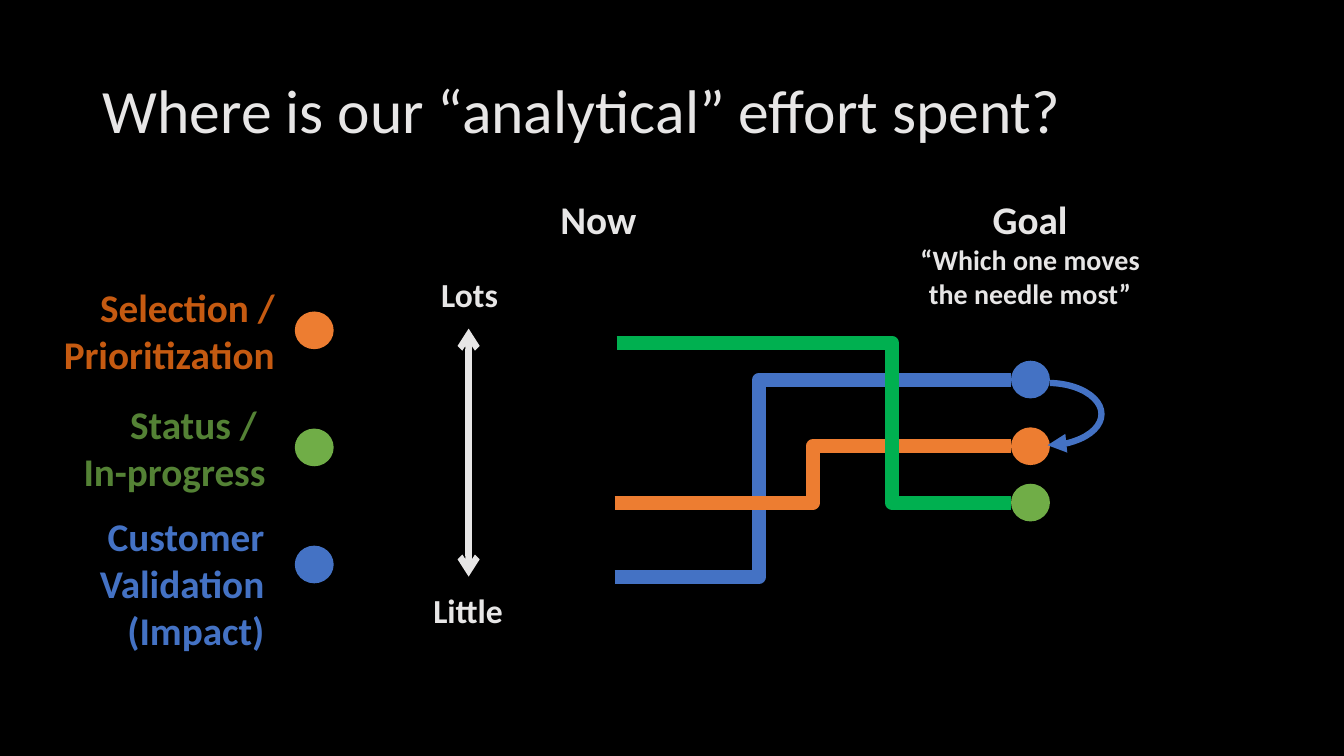
import pptx
import pptx.util
import pptx.dml.color
import pptx.enum.shapes
import pptx.enum.text
import pptx.oxml
import pptx.oxml.ns

Cm, Pt = pptx.util.Cm, pptx.util.Pt
ALIGN = pptx.enum.text.PP_ALIGN
ANCHOR = pptx.enum.text.MSO_ANCHOR
SHAPE = pptx.enum.shapes.MSO_SHAPE
CONNECTOR = pptx.enum.shapes.MSO_CONNECTOR

COLORS = {
    "background": "000000", "light": "E7E6E6",
    "blue": "4472C4", "orange": "ED7D31", "green": "70AD47",
    "dark orange": "C55A11", "dark green": "548235", "route green": "00B050",
}

# Content: box in cm, wrap, alignment, colour, bold, lines of (text, size)
TITLE = ((2.34, 1.02, 29.21, 3.68), True, ALIGN.LEFT, "light", False,
         [("Where is our “analytical” effort spent?", 44)])
LABELS = [
    ((13.87, 4.8, 2.44, 1.45), False, ALIGN.LEFT, "light", True, [("Now", 28)]),
    ((22.91, 4.8, 6.1, 3.18), False, ALIGN.CENTER, "light", True,
     [("Goal", 28), ("“Which one moves\vthe needle most”", 20)]),
    ((1.02, 7.01, 6.15, 2.64), True, ALIGN.RIGHT, "dark orange", True,
     [("Selection / Prioritization", 28)]),
    ((1.78, 9.96, 5.16, 2.64), False, ALIGN.RIGHT, "dark green", True,
     [("Status / \vIn-progress", 28)]),
    ((1.32, 12.78, 5.59, 3.84), True, ALIGN.RIGHT, "blue", True,
     [("Customer\vValidation\v(Impact)", 28)]),
    ((10.87, 6.78, 1.98, 1.27), False, ALIGN.LEFT, "light", True, [("Lots", 24)]),
    ((10.67, 14.73, 2.31, 1.27), False, ALIGN.LEFT, "light", True, [("Little", 24)]),
]
LEGEND_ORDER = ["orange", "green", "blue"]
LEGEND_LEFT, LEGEND_TOP, LEGEND_STEP = 7.43, 7.85, 2.95
GOAL_LEFT = 25.48
GOAL_TOPS = {"blue": 9.09, "orange": 10.77, "green": 12.19}
DOT_WIDTH, DOT_HEIGHT = 0.98, 0.95
# Goal dot, line colour, start x, start y, position of the bend
ROUTES = [
    ("blue", "blue", 15.49, 14.53, 0.365),
    ("orange", "orange", 15.49, 12.67, 0.5),
    ("green", "route green", 15.54, 8.64, 0.698),
]
AXIS = (11.81, 8.28, 11.81, 14.53)
SWAP_ARC = (25.04, 9.65, 2.72, 1.57)
ARC_ADJUSTMENTS = (162, 51.27)

presentation = pptx.Presentation()
presentation.slide_width, presentation.slide_height = Cm(33.87), Cm(19.05)
slide = presentation.slides.add_slide(presentation.slide_layouts[6])


def rgb(name):
    return pptx.dml.color.RGBColor.from_string(COLORS[name])


def set_values(target, values):
    for name, value in values.items():
        setattr(target, name, value)


def add_text(box, wrap, alignment, color, bold, lines):
    frame = slide.shapes.add_textbox(*map(Cm, box)).text_frame
    frame.word_wrap = wrap
    for index, (text, size) in enumerate(lines):
        paragraph = frame.add_paragraph() if index else frame.paragraphs[0]
        paragraph.text = text
        paragraph.alignment = alignment
        for run in paragraph.runs:
            set_values(run.font, {"name": "Calibri", "size": Pt(size), "bold": bold})
            run.font.color.rgb = rgb(color)
    return frame


def add_dot(left, top, color):
    shape = slide.shapes.add_shape(
        SHAPE.OVAL, *map(Cm, (left, top, DOT_WIDTH, DOT_HEIGHT)))
    shape.shadow.inherit = False
    shape.fill.solid()
    shape.fill.fore_color.rgb = rgb(color)
    shape.line.fill.background()


def style_line(line, color, width, **arrowheads):
    line.color.rgb = rgb(color)
    line.width = Pt(width)
    for tag, kind in arrowheads.items():
        end = pptx.oxml.parse_xml(
            f'<a:{tag} {pptx.oxml.ns.nsdecls("a")} type="{kind}"/>')
        line._get_or_add_ln().append(end)


def add_line(kind, points, color, width, **arrowheads):
    connector = slide.shapes.add_connector(kind, *map(Cm, points))
    style_line(connector.line, color, width, **arrowheads)
    connector._element.spPr.append(pptx.oxml.parse_xml(
        f'<a:effectLst {pptx.oxml.ns.nsdecls("a")}/>'))
    return connector


# Background and title
slide.background.fill.solid()
slide.background.fill.fore_color.rgb = rgb("background")
title_frame = add_text(*TITLE)
title_frame.vertical_anchor = ANCHOR.MIDDLE
title_frame.paragraphs[0].line_spacing = 0.9

# Legend and goal dots
for row, color in enumerate(LEGEND_ORDER):
    add_dot(LEGEND_LEFT, LEGEND_TOP + row * LEGEND_STEP, color)
for color, top in GOAL_TOPS.items():
    add_dot(GOAL_LEFT, top, color)

# Labels
for label in LABELS:
    add_text(*label)

# Effort axis
add_line(CONNECTOR.STRAIGHT, AXIS, "light", 4.5, headEnd="arrow", tailEnd="arrow")

# Routes from now to goal
for goal, color, start_x, start_y, bend in ROUTES:
    goal_y = GOAL_TOPS[goal] + DOT_HEIGHT / 2
    route = add_line(CONNECTOR.ELBOW, (start_x, start_y, GOAL_LEFT, goal_y), color, 10)
    geometry = route._element.spPr.find(pptx.oxml.ns.qn("a:prstGeom"))
    geometry.get_or_add_avLst().append(pptx.oxml.parse_xml(
        f'<a:gd {pptx.oxml.ns.nsdecls("a")} name="adj1" '
        f'fmla="val {round(bend * 100000)}"/>'))

# Curved arrow between the top two goals
arc = slide.shapes.add_shape(SHAPE.ARC, *map(Cm, SWAP_ARC))
arc.shadow.inherit = False
arc.fill.background()
for index, value in enumerate(ARC_ADJUSTMENTS):
    arc.adjustments[index] = value
arc._element.spPr.xfrm.set("flipV", "1")
style_line(arc.line, "blue", 4.5, headEnd="triangle")

presentation.save("out.pptx")
